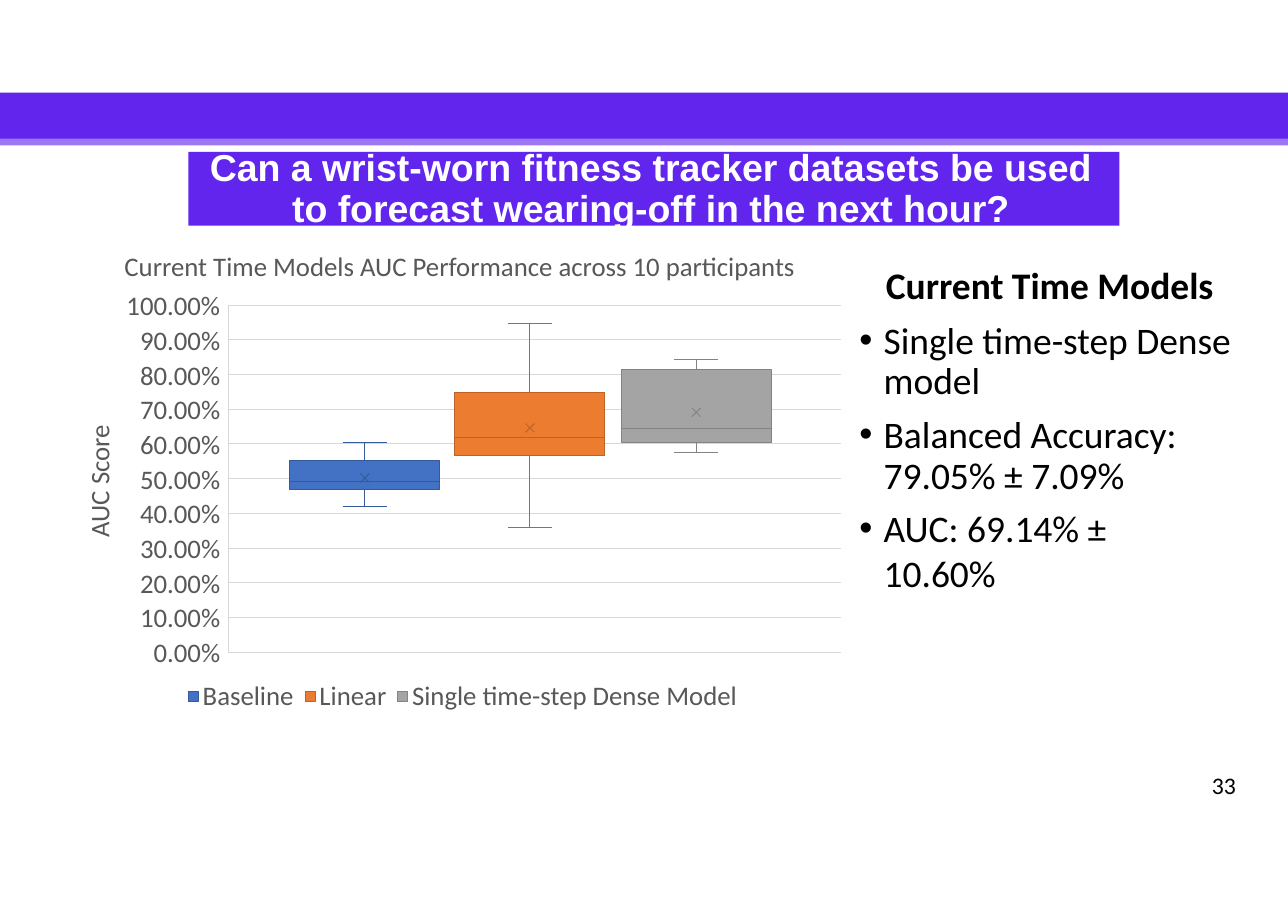
from lxml.etree import SubElement
from pptx import Presentation
from pptx.dml.color import RGBColor
from pptx.enum.shapes import MSO_CONNECTOR, MSO_SHAPE
from pptx.enum.text import PP_ALIGN
from pptx.oxml.ns import qn
from pptx.util import Emu, Pt

EMU_PER_PX = 9144
COLORS = {
    "band": "6125ED", "band edge": "9D77F3", "white": "FFFFFF", "black": "000000",
    "label": "585858", "grid": "D8D8D8",
    "baseline": "4371C3", "baseline edge": "355A9C",
    "linear": "EC7C30", "linear edge": "BD6326",
    "dense": "A4A4A4", "dense edge": "838383",
}
AXIS_LEFT, AXIS_RIGHT, AXIS_TOP, AXIS_BOTTOM = 207, 763, 277, 592
TICK_STEP = 10
BOX_WIDTH, CAP_HALF, CROSS_HALF = 136, 20, 4
LEGEND_TOP, LEGEND_KEY = 628, 9

# name, colour, box centre, legend left, (low, quartile 1, median, mean, quartile 3, high)
MODELS = [
    ("Baseline", "baseline", 331, 171, (41.9, 46.7, 49.2, 50.2, 55.2, 60.4)),
    ("Linear", "linear", 481, 277, (35.9, 56.5, 61.9, 64.6, 74.9, 94.6)),
    ("Single time-step Dense Model", "dense", 632, 361, (57.5, 60.4, 64.4, 69.1, 81.5, 84.4)),
]
# text, line spacing, space before
FINDINGS = [
    ("Single time-step Dense model", Pt(26.5), 9.2),
    ("Balanced Accuracy: 79.05% ± 7.09%", Pt(26.5), 8.8),
    ("AUC: 69.14% ±\v10.60%", 1.0, 5.5),
]


def px(length):
    return Emu(round(length * EMU_PER_PX))


def rgb(name):
    return RGBColor.from_string(COLORS[name])


def score_y(score):
    """Vertical place of an AUC score in percent."""
    return AXIS_BOTTOM - (AXIS_BOTTOM - AXIS_TOP) * score / 100


def add_rectangle(slide, left, top, width, height, fill, edge=None):
    rectangle = slide.shapes.add_shape(
        MSO_SHAPE.RECTANGLE, px(left), px(top), px(width), px(height))
    rectangle.shadow.inherit = False
    rectangle.fill.solid()
    rectangle.fill.fore_color.rgb = rgb(fill)
    if edge:
        rectangle.line.color.rgb = rgb(edge)
        rectangle.line.width = Pt(0.66)
    else:
        rectangle.line.fill.background()
    return rectangle


def add_line(slide, x1, y1, x2, y2, color):
    line = slide.shapes.add_connector(
        MSO_CONNECTOR.STRAIGHT, px(x1), px(y1), px(x2), px(y2))
    line.line.color.rgb = rgb(color)
    line.line.width = Pt(0.66)
    SubElement(line._element.spPr, qn("a:effectLst"))
    return line


def style(paragraph, size, color, font="Calibri", bold=False):
    for run in paragraph.runs:
        run.font.name = font
        run.font.size = Pt(size)
        run.font.bold = bold
        run.font.color.rgb = rgb(color)


def add_text(slide, left, top, width, height, text):
    """Add a wrapping text box without margins."""
    box = slide.shapes.add_textbox(px(left), px(top), px(width), px(height))
    frame = box.text_frame
    frame.margin_left = frame.margin_top = frame.margin_right = frame.margin_bottom = 0
    frame.word_wrap = True
    frame.text = text
    return box


def add_label(slide, left, top, width, height, text, size=17.5, color="label"):
    label = add_text(slide, left, top, width, height, text)
    style(label.text_frame.paragraphs[0], size, color)
    return label


def add_heading(slide):
    add_rectangle(slide, 0, 84, 1169, 42, "band")
    add_rectangle(slide, 0, 126, 1169, 6, "band edge")
    add_rectangle(slide, 171, 138, 845, 67, "band")
    question = add_text(
        slide, 181, 135, 820, 74,
        "Can a wrist-worn fitness tracker datasets be used to forecast "
        "wearing-off in the next hour?").text_frame.paragraphs[0]
    question.alignment = PP_ALIGN.CENTER
    question.line_spacing = Pt(26.5)
    style(question, 24.5, "white", font="Arial", bold=True)


def add_axes(slide):
    scores = range(0, 101, TICK_STEP)
    for score in scores:
        add_line(slide, AXIS_LEFT, score_y(score), AXIS_RIGHT, score_y(score), "grid")
    add_line(slide, AXIS_LEFT, AXIS_BOTTOM, AXIS_LEFT, AXIS_TOP, "grid")

    ticks = "\n".join(f"{score}.00%" for score in reversed(scores))
    tick_labels = add_text(slide, 113, 260, 87, 347, ticks)
    for tick in tick_labels.text_frame.paragraphs:
        tick.alignment = PP_ALIGN.RIGHT
        tick.line_spacing = Pt(22.68)
        style(tick, 17.5, "label")

    add_label(slide, 113, 227, 640, 30,
              "Current Time Models AUC Performance across 10 participants")
    axis_title = add_label(slide, 37, 420, 106, 30, "AUC Score")
    axis_title.rotation = 270


def add_box_plot(slide, center, color, scores):
    low, quartile_1, median, mean, quartile_3, high = map(score_y, scores)
    edge = f"{color} edge"
    left, right = center - BOX_WIDTH / 2, center + BOX_WIDTH / 2
    box = add_rectangle(slide, left, quartile_3, BOX_WIDTH,
                        quartile_1 - quartile_3, color, edge)
    for side, start, end in ((0, quartile_3, high), (2, quartile_1, low)):
        whisker = add_line(slide, center, start, center, end, edge)
        whisker.begin_connect(box, side)
        add_line(slide, center - CAP_HALF, end, center + CAP_HALF, end, edge)
    add_line(slide, left, median, right, median, edge)
    for rise in (-CROSS_HALF, CROSS_HALF):
        add_line(slide, center - CROSS_HALF, mean - rise,
                 center + CROSS_HALF, mean + rise, edge)


def add_legend_entry(slide, left, name, color):
    add_rectangle(slide, left, LEGEND_TOP, LEGEND_KEY, LEGEND_KEY, color, f"{color} edge")
    add_label(slide, left + 13, LEGEND_TOP - 12, 11 * len(name) + 10, 30, name)


def add_bullet(paragraph):
    properties = paragraph._p.get_or_add_pPr()
    properties.set("marL", str(px(23)))
    properties.set("indent", str(px(-22)))
    SubElement(properties, qn("a:buFont"), typeface="Arial")
    SubElement(properties, qn("a:buChar"), char="•")


def add_findings(slide):
    frame = add_text(slide, 779, 238, 341, 262, "Current Time Models").text_frame
    heading = frame.paragraphs[0]
    heading._p.get_or_add_pPr().set("marL", str(px(25)))
    style(heading, 24.5, "black", bold=True)
    for text, line_spacing, space_before in FINDINGS:
        finding = frame.add_paragraph()
        finding.text = text
        add_bullet(finding)
        finding.line_spacing = line_spacing
        finding.space_before = Pt(space_before)
        style(finding, 24.5, "black")


def main():
    presentation = Presentation()
    presentation.slide_width, presentation.slide_height = px(1169), px(827)
    slide = presentation.slides.add_slide(presentation.slide_layouts[6])

    add_heading(slide)
    add_axes(slide)
    for name, color, center, legend_left, scores in MODELS:
        add_box_plot(slide, center, color, scores)
        add_legend_entry(slide, legend_left, name, color)
    add_findings(slide)
    add_label(slide, 1100, 700, 30, 25, "33", size=15.5, color="black")
    presentation.save("out.pptx")


if __name__ == "__main__":
    main()
